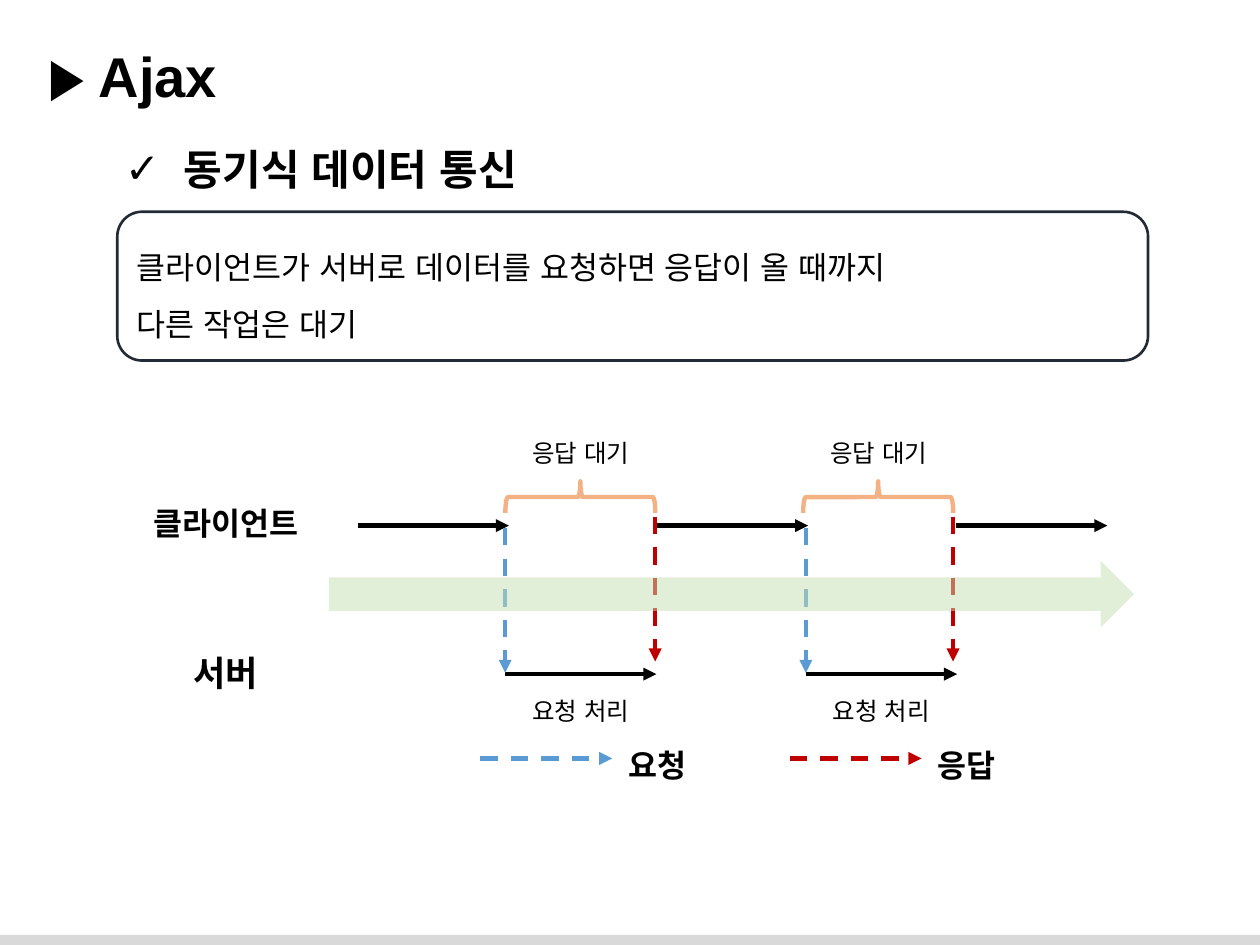
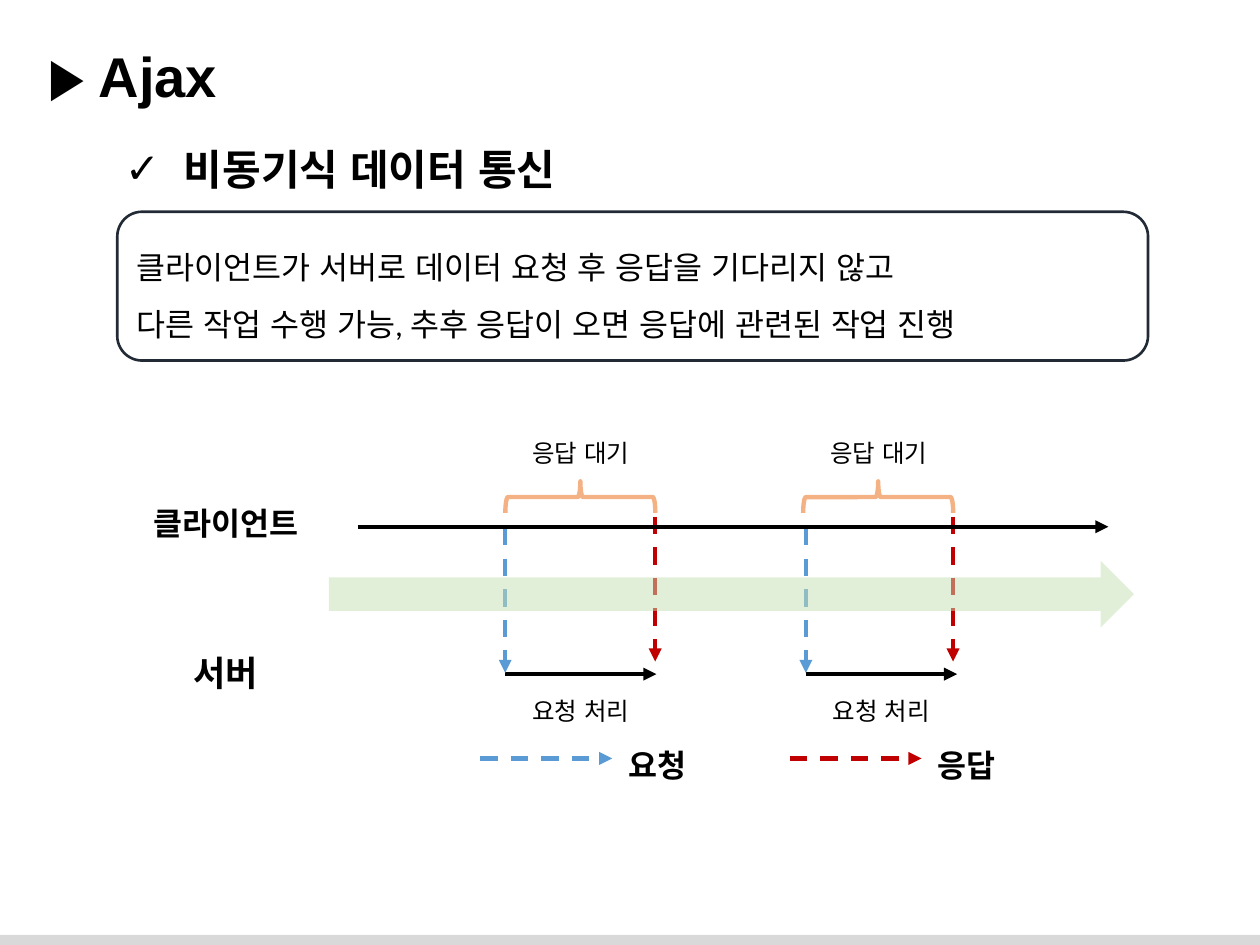
from dataclasses import dataclass

from lxml import etree
from pptx import Presentation
from pptx.dml.color import RGBColor
from pptx.enum import dml, lang, shapes, text
from pptx.oxml import ns
from pptx.util import Pt


@dataclass(frozen=True)
class Theme:
    """Colours, fonts and sizes shared by the slides."""
    ink: str = "000000"
    frame: str = "222A35"
    request: str = "5B9BD5"
    response: str = "C00000"
    brace: str = "F4B183"
    timeline: str = "C5E0B4"
    footer: str = "D9D9D9"
    heading_font: str = "Arial"
    body_font: str = "Calibri"
    title: int = 32
    subtitle: int = 24
    server: int = 20
    body: int = 18
    note: int = 14
    stroke: float = 2.5
    frame_stroke: float = 1.5


THEME = Theme()
CENTER = text.PP_ALIGN.CENTER
LEFT = text.PP_ALIGN.LEFT


def place(part, box):
    """Move a part to a box of left, top, width and height in points."""
    part.left, part.top, part.width, part.height = map(Pt, box)


def write(part, lines, size=THEME.body, font=THEME.body_font, bold=False,
          align=LEFT, spacing=None, wrap=True, grow=True,
          anchor=text.MSO_ANCHOR.TOP):
    """Fill a part with one formatted paragraph for each line."""
    frame = part.text_frame
    frame.word_wrap = wrap
    frame.vertical_anchor = anchor
    if grow:
        frame.auto_size = text.MSO_AUTO_SIZE.SHAPE_TO_FIT_TEXT
    for number, line in enumerate(lines):
        paragraph = frame.add_paragraph() if number else frame.paragraphs[0]
        paragraph.alignment = align
        paragraph.space_before = Pt(0)
        if spacing:
            paragraph.line_spacing = spacing
        run = paragraph.add_run()
        run.text = line
        run.font.size, run.font.name, run.font.bold = Pt(size), font, bold
        run.font.color.rgb = RGBColor.from_string(THEME.ink)
        run.font.language_id = lang.MSO_LANGUAGE_ID.KOREAN


def label(slide, box, wording, **style):
    """Add a centred label."""
    caption = slide.shapes.add_textbox(*map(Pt, box))
    write(caption, [wording], align=CENTER, **style)


def outline(slide, preset, box, fill=None, line=None, width=THEME.stroke):
    """Add a flat preset shape with an optional fill and line."""
    part = slide.shapes.add_shape(preset, *map(Pt, box))
    part.shadow.inherit = False
    if fill:
        part.fill.solid()
        part.fill.fore_color.rgb = RGBColor.from_string(fill)
    else:
        part.fill.background()
    if line:
        part.line.color.rgb = RGBColor.from_string(line)
        part.line.width = Pt(width)
    else:
        part.line.fill.background()
    return part


def arrow(slide, start, end, color=THEME.ink, dashed=False):
    """Add a straight line with a triangular head at its end."""
    line = slide.shapes.add_connector(
        shapes.MSO_CONNECTOR.STRAIGHT, *map(Pt, (*start, *end)))
    line.line.color.rgb = RGBColor.from_string(color)
    line.line.width = Pt(THEME.stroke)
    if dashed:
        line.line.dash_style = dml.MSO_LINE.DASH
    properties = line.element.spPr
    stroke = properties.find(ns.qn("a:ln"))
    etree.SubElement(stroke, ns.qn("a:tailEnd"), type="triangle")
    etree.SubElement(properties, ns.qn("a:effectLst"))


def footer_band(slide, box):
    """Draw the footer band and share it through the slide layout."""
    band = outline(slide, shapes.MSO_SHAPE.RECTANGLE, box, fill=THEME.footer)
    slide.slide_layout.shapes.element.append(band.element)


def heading(slide, box, subject, topic):
    """Fill the title and the ticked subtitle below it."""
    left, top, width, height = box
    title, subtitle = slide.placeholders
    place(title, (left, top, width, 46))
    write(title, [subject], size=THEME.title, font=THEME.heading_font, bold=True)
    place(subtitle, (left + 44, top + 58.3, 280, height - 58.3))
    write(subtitle, [" " + topic], size=THEME.subtitle,
          font=THEME.heading_font, bold=True, wrap=False)
    properties = subtitle.text_frame.paragraphs[0]._p.get_or_add_pPr()
    properties.set("marL", str(Pt(27)))
    properties.set("indent", str(-Pt(27)))
    etree.SubElement(properties, ns.qn("a:buChar"), char="✓")


def definition(slide, box, lines):
    """Add the rounded box that explains the topic."""
    panel = outline(slide, shapes.MSO_SHAPE.ROUNDED_RECTANGLE, box,
                    line=THEME.frame, width=THEME.frame_stroke)
    frame = panel.text_frame
    frame.margin_left = frame.margin_right = Pt(7.2)
    frame.margin_top = frame.margin_bottom = Pt(7.2)
    write(panel, lines, spacing=1.5, grow=False, anchor=text.MSO_ANCHOR.MIDDLE)


def exchange(slide, left, top, wait_left):
    """Draw one request, its processing, the response and the wait."""
    server_y = top + 138.2
    arrow(slide, (left, server_y), (left + 86.4, server_y))
    arrow(slide, (left, top + 54.7), (left, top + 137.5), THEME.request, True)
    response_x = wait_left + 85.7
    arrow(slide, (response_x, top + 48.2), (response_x, top + 131),
          THEME.response, True)
    brace = outline(slide, shapes.MSO_SHAPE.LEFT_BRACE,
                    (wait_left + 33.9, top - 5.8, 18, 85.7), line=THEME.brace)
    brace.rotation = 90
    label(slide, (wait_left - 2.1, top, 90.7, 18), "응답 대기", size=THEME.note)
    label(slide, (left - 2.1, top + 146.9, 90.7, 18), "요청 처리",
          size=THEME.note)


def legend(slide, left, top):
    """Explain the two dashed arrows."""
    entries = (("요청", THEME.request), ("응답", THEME.response))
    for number, (wording, color) in enumerate(entries):
        x = left + number * 176.8
        arrow(slide, (x, top + 10.8), (x + 75.4, top + 10.8), color, True)
        label(slide, (x + 56, top, 90.7, 22), wording, bold=True)


def timeline(slide, box, blocking):
    """Draw client and server activity over time."""
    left, top, width, height = box
    label(slide, (left, top + 37.4, 111, 29), "클라이언트", bold=True)
    label(slide, (left, top + 121.6, 111, 32), "서버",
          size=THEME.server, bold=True)
    client_x, client_y = left + 131, top + 53.4
    if blocking:
        for number in range(3):
            x = client_x + number * 171
            arrow(slide, (x, client_y), (x + 86.4, client_y))
    for number in range(2):
        exchange(slide, left + 215.3 + number * 171.8, top,
                 left + 215.3 + number * 170.2)
    legend(slide, left + 201, top + height - 22)
    flow = outline(slide, shapes.MSO_SHAPE.RIGHT_ARROW,
                   (left + 114.5, top + 73.4, width - 114.5, 38.2),
                   fill=THEME.timeline)
    tint = flow.element.spPr.find(ns.qn("a:solidFill"))[0]
    etree.SubElement(tint, ns.qn("a:alpha"), val="50000")
    if not blocking:
        arrow(slide, (client_x, top + 54), (client_x + 429, top + 54))


def communication_slide(deck, topic, lines, blocking):
    """Add one slide about a way of exchanging data."""
    slide = deck.slides.add_slide(deck.slide_layouts[1])
    heading(slide, (20.2, 20.2, 680.4, 94.3), "▶ Ajax", topic)
    definition(slide, (67, 121, 589, 85), lines)
    timeline(slide, (73.4, 247, 574.6, 197.6), blocking)
    return slide


def main():
    """Build and save the deck."""
    deck = Presentation()
    deck.slide_width, deck.slide_height = Pt(720), Pt(540)
    synchronous = communication_slide(
        deck, "동기식 데이터 통신",
        ["클라이언트가 서버로 데이터를 요청하면 응답이 올 때까지",
         "다른 작업은 대기"], blocking=True)
    footer_band(synchronous, (-1.4, 534.2, 722.9, 7.9))
    communication_slide(
        deck, "비동기식 데이터 통신",
        ["클라이언트가 서버로 데이터 요청 후 응답을 기다리지 않고",
         "다른 작업 수행 가능, 추후 응답이 오면 응답에 관련된 작업 진행"],
        blocking=False)
    deck.save("out.pptx")


main()
